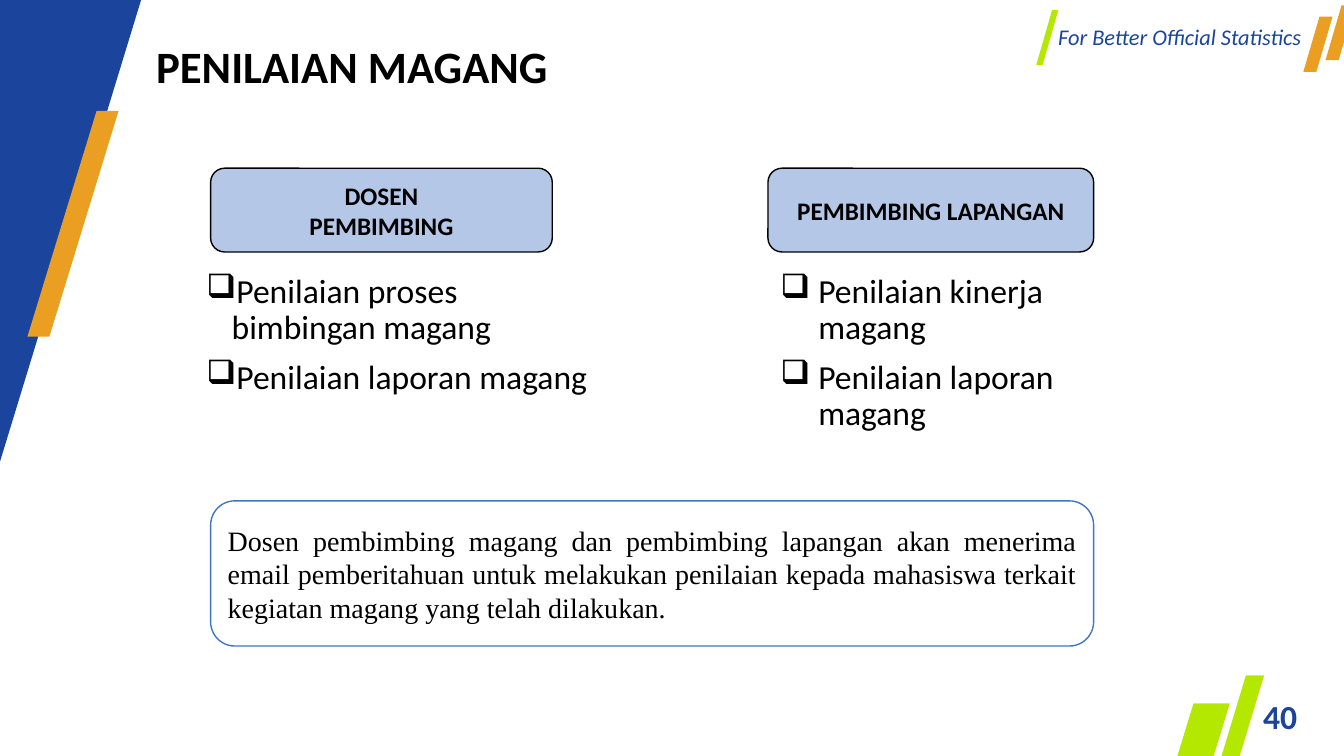
"""Build the slide on internship assessment by supervisors."""
from lxml import etree
from pptx import Presentation
from pptx import util as u
from pptx.dml.color import RGBColor
from pptx.enum import shapes, text
from pptx.oxml import ns

COLORS = {
    "blue": "1B449C", "orange": "EA9E22", "lime": "B4E800", "pale": "B4C7E7",
    "outline": "4472C4", "black": "000000", "white": "FFFFFF",
}


def paint(shape, fill, line=None):
    """Set fill and outline, without a shadow."""
    shape.shadow.inherit = False
    shape.fill.solid()
    shape.fill.fore_color.rgb = RGBColor.from_string(COLORS[fill])
    if line:
        shape.line.color.rgb = RGBColor.from_string(COLORS[line])
        shape.line.width = u.Pt(1)
    else:
        shape.line.fill.background()


def write(shape, lines, size, color="black", font="Calibri", bold=False, italic=False,
          align=text.PP_ALIGN.LEFT, anchor=text.MSO_ANCHOR.TOP):
    """Write one paragraph per line and return the paragraphs."""
    frame = shape.text_frame
    frame.word_wrap = True
    frame.vertical_anchor = anchor
    for index, line in enumerate(lines):
        para = frame.add_paragraph() if index else frame.paragraphs[0]
        para.alignment = align
        span = para.add_run()
        span.text = line
        span.font.name = font
        span.font.size = u.Pt(size)
        span.font.bold = bold
        span.font.italic = italic
        span.font.color.rgb = RGBColor.from_string(COLORS[color])
    return frame.paragraphs


deck = Presentation()
deck.slide_width, deck.slide_height = u.Pt(960), u.Pt(540)
page = deck.slides.add_slide(deck.slide_layouts[6])

decorations = [
    ("lime", [(890, 482.4), (903, 482.4), (885.6, 540), (872.6, 540)]),
    ("lime", [(852.5, 502.5), (878.4, 502.5), (866.9, 540), (841, 540)]),
    ("blue", [(0, 0), (100.8, 0), (0, 329.8)]),
    ("orange", [(69, 79.2), (84.7, 79.2), (35.3, 240.5), (19.6, 240.5)]),
    ("lime", [(751.5, 7.2), (756, 7.2), (744.7, 46.5), (740.2, 46.5)]),
    ("orange", [(942.5, 12), (951.8, 12), (940.3, 51.3), (931, 51.3)]),
    ("orange", [(958.3, 3.8), (967.7, 3.8), (956.2, 43), (946.8, 43)]),
]
for color, points in decorations:
    corners = [(u.Pt(x), u.Pt(y)) for x, y in points]
    builder = page.shapes.build_freeform(*corners[0])
    builder.add_line_segments(corners[1:], close=True)
    paint(builder.convert_to_shape(), color)

title = page.shapes.add_textbox(u.Pt(104.4), u.Pt(23.8), u.Pt(644.4), u.Pt(46))
write(title, ["PENILAIAN MAGANG"], 32, bold=True)
tagline = page.shapes.add_textbox(u.Pt(748.8), u.Pt(13), u.Pt(202.3), u.Pt(26.6))
write(tagline, ["For Better Official Statistics"], 16, "blue", italic=True)
number = page.shapes.add_textbox(u.Pt(806.4), u.Pt(496.8), u.Pt(216), u.Pt(28.8))
write(number, ["40"], 24, "blue", bold=True,
      align=text.PP_ALIGN.CENTER, anchor=text.MSO_ANCHOR.MIDDLE)

headings = [
    (150.5, 244, ["DOSEN", "PEMBIMBING"]),
    (548.6, 232.6, ["PEMBIMBING LAPANGAN"]),
]
for left, width, lines in headings:
    box = page.shapes.add_shape(shapes.MSO_SHAPE.ROUNDED_RECTANGLE,
                                u.Pt(left), u.Pt(120.2), u.Pt(width), u.Pt(59.8))
    paint(box, "pale", "black")
    write(box, lines, 18, bold=True,
          align=text.PP_ALIGN.CENTER, anchor=text.MSO_ANCHOR.MIDDLE)

lists = [
    (140.4, 299.5, 18, 18, ["Penilaian proses bimbingan magang", "Penilaian laporan magang"]),
    (541.4, 248.4, 36, 27, ["Penilaian kinerja magang", "Penilaian laporan magang"]),
]
for left, width, margin, hanging, lines in lists:
    box = page.shapes.add_textbox(u.Pt(left), u.Pt(192.2), u.Pt(width), u.Pt(302.4))
    for para in write(box, lines, 24):
        para.line_spacing = 0.9
        para.space_before = u.Pt(10)
        props = para._p.get_or_add_pPr()
        props.set("marL", str(u.Pt(margin)))
        props.set("indent", str(-u.Pt(hanging)))
        etree.SubElement(props, ns.qn("a:buChar")).set("char", "❑")

note = page.shapes.add_shape(shapes.MSO_SHAPE.ROUNDED_RECTANGLE,
                             u.Pt(150.5), u.Pt(357.8), u.Pt(630.7), u.Pt(103.7))
paint(note, "white", "outline")
write(note, ["Dosen pembimbing magang dan pembimbing lapangan akan menerima email "
             "pemberitahuan untuk melakukan penilaian kepada mahasiswa terkait "
             "kegiatan magang yang telah dilakukan."],
      20, font="Times New Roman", align=text.PP_ALIGN.JUSTIFY, anchor=text.MSO_ANCHOR.MIDDLE)

deck.save("out.pptx")
